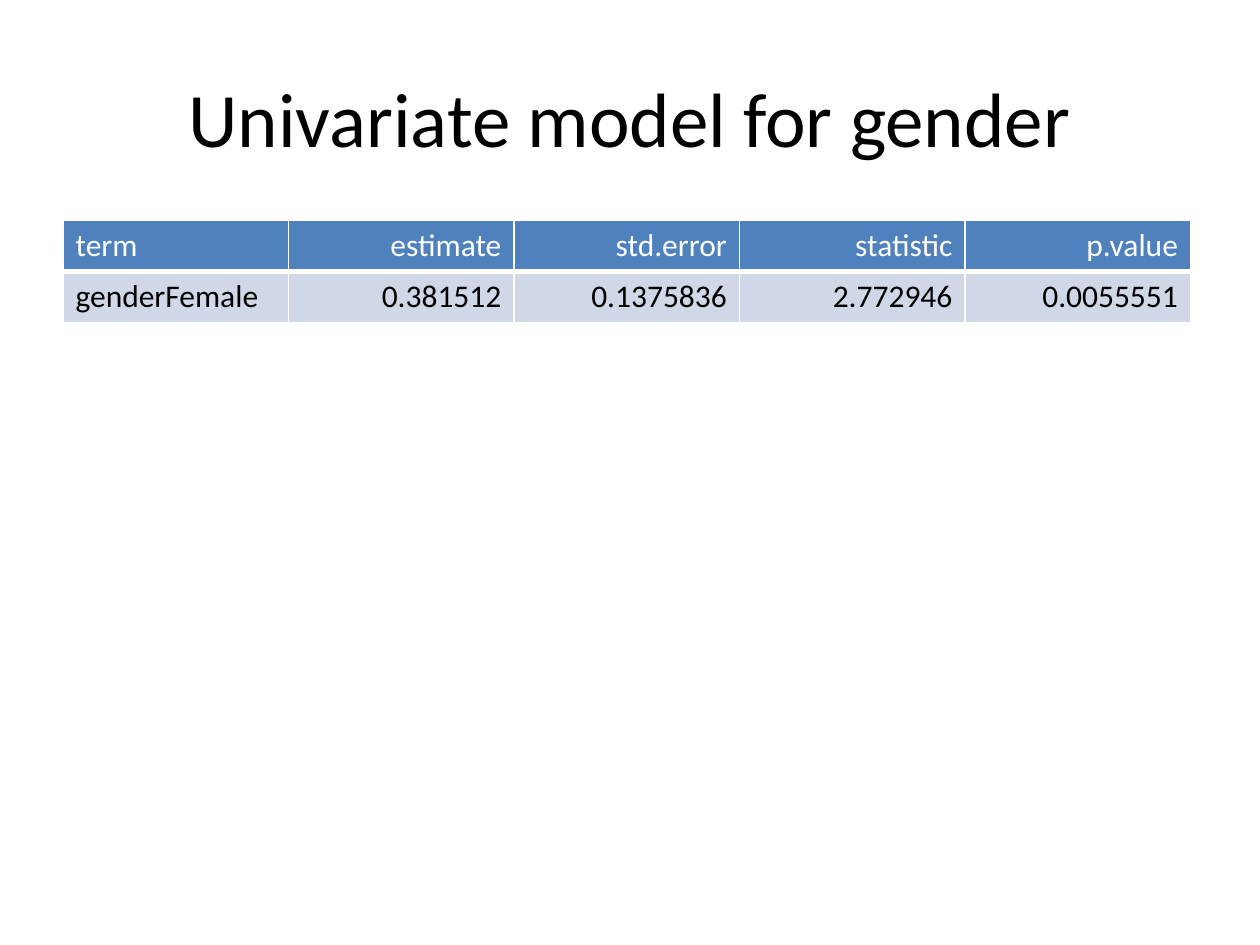
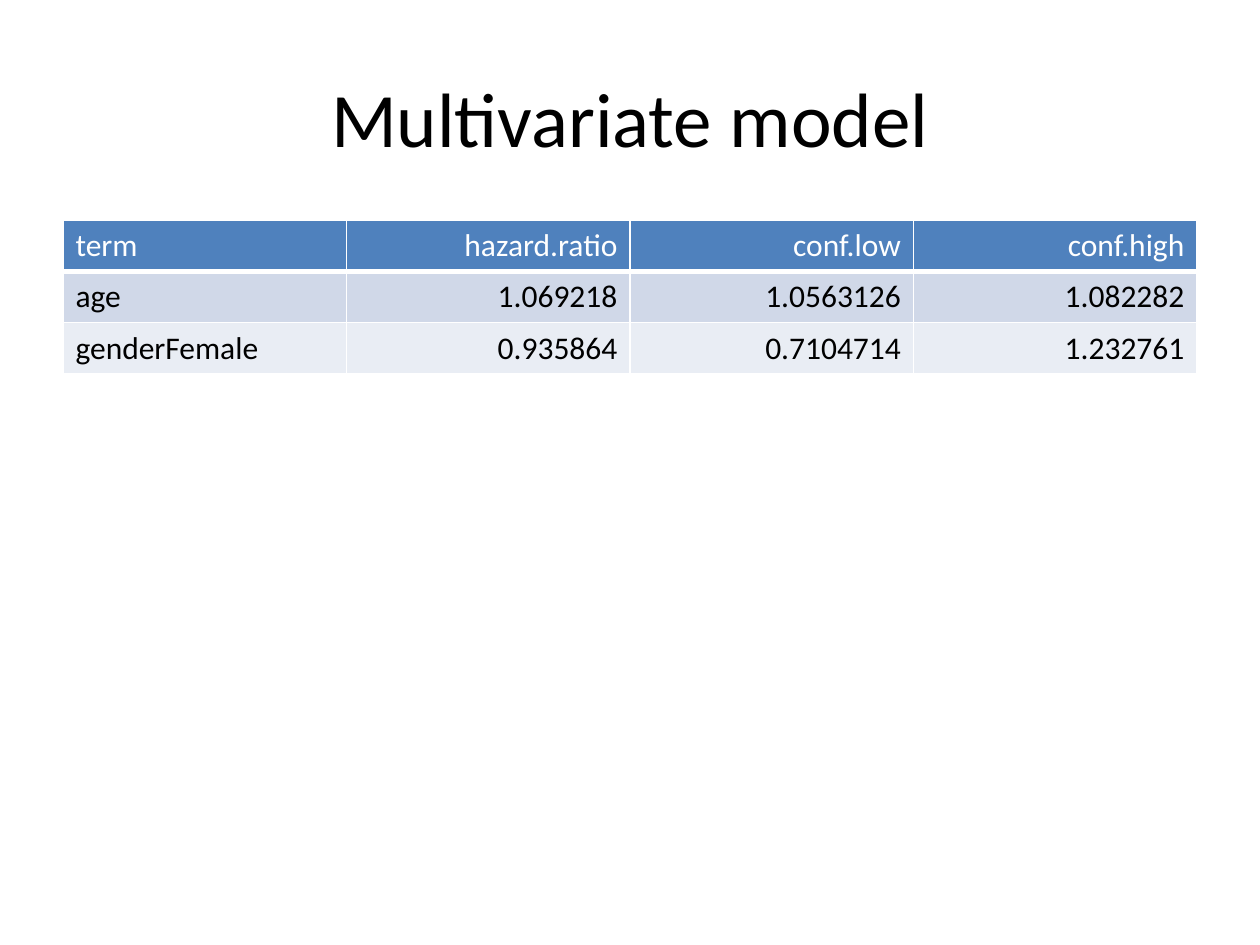
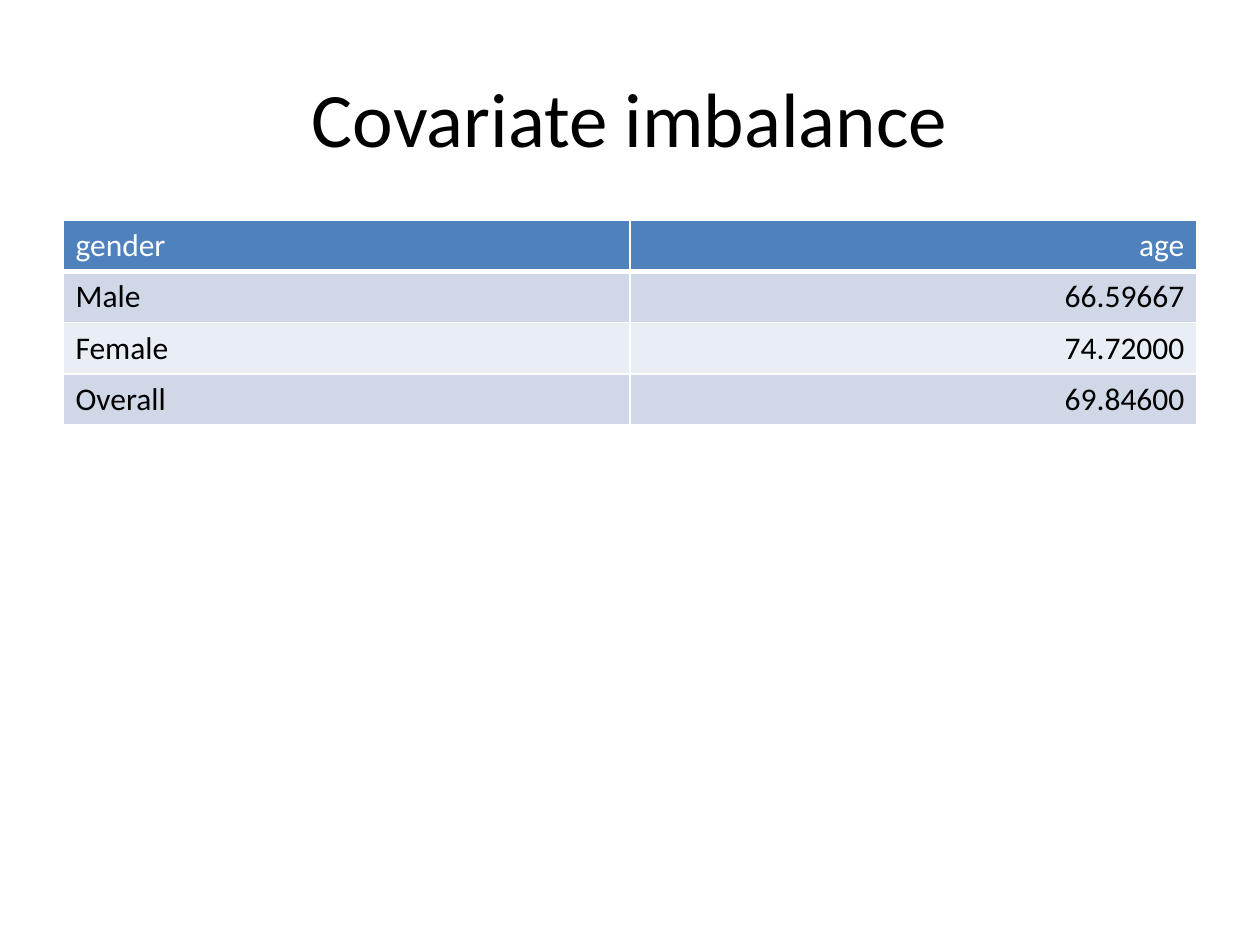
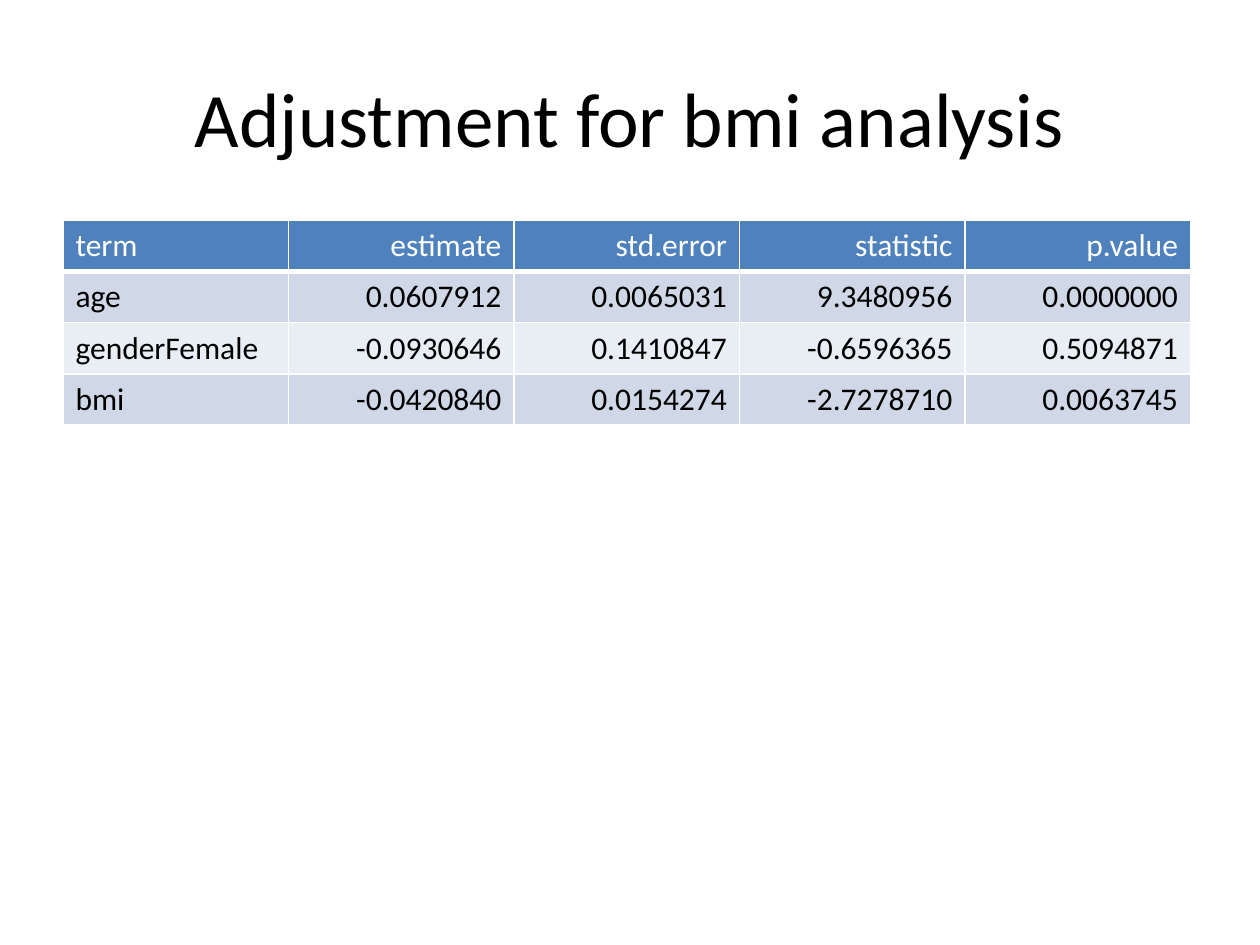
"""Build four slides of regression model tables."""
import pptx
import pptx.dml.color
import pptx.enum.text
import pptx.oxml
import pptx.oxml.ns
import pptx.util

Inches = pptx.util.Inches
Pt = pptx.util.Pt
ALIGN = pptx.enum.text.PP_ALIGN

MODEL_HEADER = ["term", "estimate", "std.error", "statistic", "p.value"]
SLIDES = [
    ("Univariate model for gender", 1.79, [
        MODEL_HEADER,
        ["genderFemale", "0.381512", "0.1375836", "2.772946", "0.0055551"],
    ]),
    ("Multivariate model", 2.25, [
        ["term", "hazard.ratio", "conf.low", "conf.high"],
        ["age", "1.069218", "1.0563126", "1.082282"],
        ["genderFemale", "0.935864", "0.7104714", "1.232761"],
    ]),
    ("Covariate imbalance", 4.5, [
        ["gender", "age"],
        ["Male", "66.59667"],
        ["Female", "74.72000"],
        ["Overall", "69.84600"],
    ]),
    ("Adjustment for bmi analysis", 1.79, [
        MODEL_HEADER,
        ["age", "0.0607912", "0.0065031", "9.3480956", "0.0000000"],
        ["genderFemale", "-0.0930646", "0.1410847", "-0.6596365", "0.5094871"],
        ["bmi", "-0.0420840", "0.0154274", "-2.7278710", "0.0063745"],
    ]),
]

COLORS = {
    "text": "000000",
    "header_text": "FFFFFF",
    "header": "4F81BD",
    "odd_row": "D0D8E8",
    "even_row": "E9EDF4",
    "border": "FFFFFF",
}
TITLE_BOX = {"left": Inches(0.5), "top": Inches(0.3),
             "width": Inches(9), "height": Inches(1.25)}
TABLE_BOX = {"left": Inches(0.5), "top": Inches(1.75),
             "width": Inches(9), "height": Inches(4.94)}
TITLE_FONT = {"name": "Calibri", "size": Pt(44), "bold": False}
CELL_FONT = {"name": "Calibri", "size": Pt(18), "bold": False}
FIT_TO_TEXT = Inches(0)
BORDER_WIDTHS = {"lnL": 1, "lnR": 1, "lnT": 1, "lnB": 1}
HEADER_BORDER_WIDTHS = {**BORDER_WIDTHS, "lnB": 3}


def rgb(name):
    return pptx.dml.color.RGBColor.from_string(COLORS[name])


def set_attributes(target, values):
    for name, value in values.items():
        setattr(target, name, value)


def format_paragraph(paragraph, font, color, alignment):
    paragraph.alignment = alignment
    set_attributes(paragraph.font, font)
    paragraph.font.color.rgb = rgb(color)


def add_borders(cell, widths):
    properties = cell._tc.get_or_add_tcPr()
    for side, width in widths.items():
        properties.append(pptx.oxml.parse_xml(
            f'<a:{side} {pptx.oxml.ns.nsdecls("a")} w="{Pt(width)}"><a:solidFill>'
            f'<a:srgbClr val="{COLORS["border"]}"/></a:solidFill></a:{side}>'))


def format_cell(cell, text, row_index, column_index):
    is_header = row_index == 0
    cell.text = text
    format_paragraph(cell.text_frame.paragraphs[0], CELL_FONT,
                     "header_text" if is_header else "text",
                     ALIGN.RIGHT if column_index else ALIGN.LEFT)
    add_borders(cell, HEADER_BORDER_WIDTHS if is_header else BORDER_WIDTHS)
    fill = "header" if is_header else "odd_row" if row_index % 2 else "even_row"
    cell.fill.solid()
    cell.fill.fore_color.rgb = rgb(fill)


def add_title(slide, text):
    title = slide.shapes.title
    set_attributes(title, TITLE_BOX)
    title.text_frame.text = text
    title.text_frame.vertical_anchor = pptx.enum.text.MSO_ANCHOR.MIDDLE
    format_paragraph(title.text_frame.paragraphs[0], TITLE_FONT, "text", ALIGN.CENTER)


def add_data_table(slide, rows, column_width):
    frame = slide.shapes.add_table(len(rows), len(rows[0]), **TABLE_BOX)
    table = frame.table
    for column in table.columns:
        column.width = Inches(column_width)
    for row_index, row in enumerate(rows):
        table.rows[row_index].height = FIT_TO_TEXT
        for column_index, text in enumerate(row):
            format_cell(table.cell(row_index, column_index), text, row_index, column_index)
    set_attributes(frame, TABLE_BOX)


def main():
    presentation = pptx.Presentation()
    presentation.slide_width = Inches(10)
    presentation.slide_height = Inches(7.5)
    title_only = presentation.slide_layouts.get_by_name("Title Only")
    for title, column_width, rows in SLIDES:
        slide = presentation.slides.add_slide(title_only)
        add_title(slide, title)
        add_data_table(slide, rows, column_width)
    presentation.save("out.pptx")


if __name__ == "__main__":
    main()
